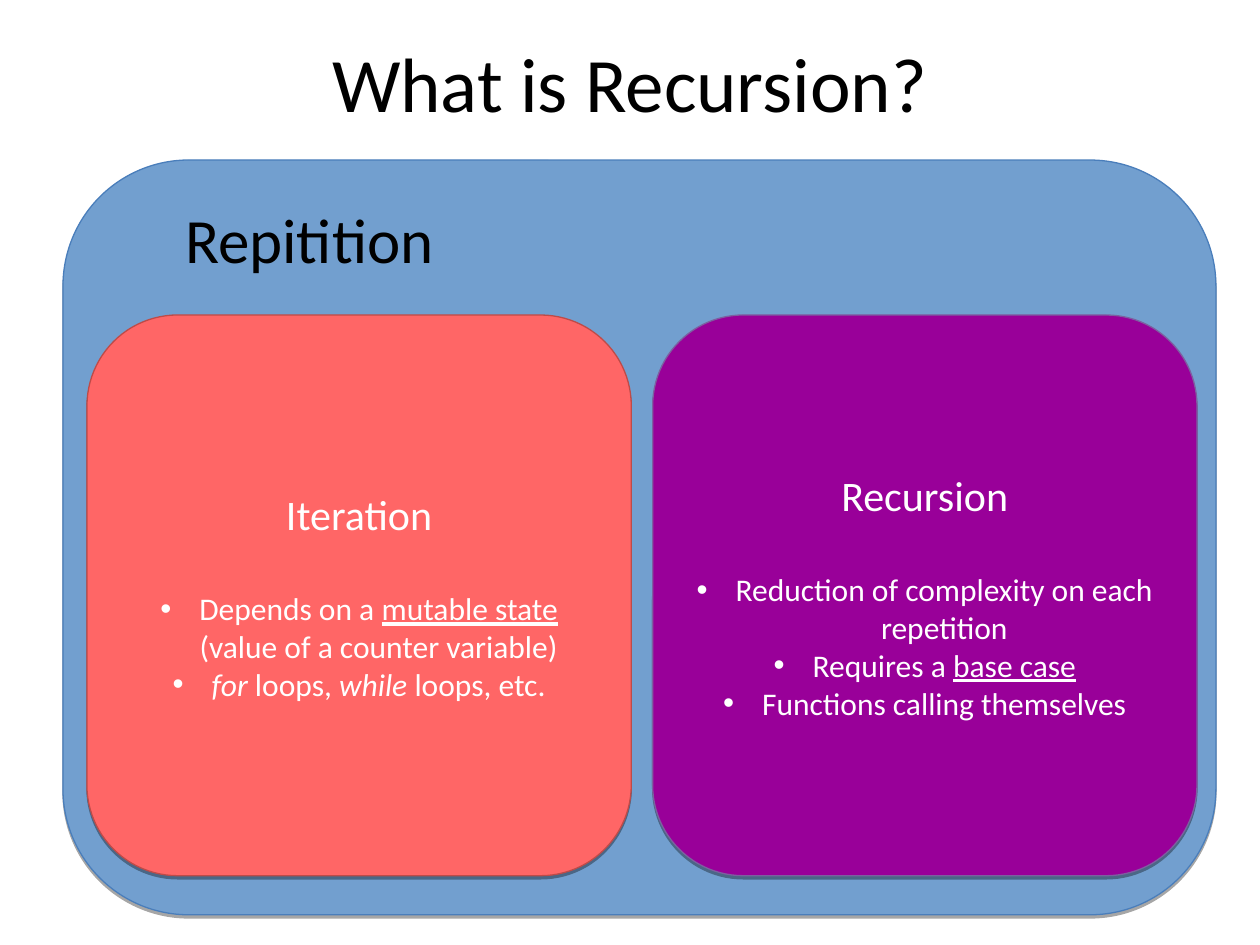
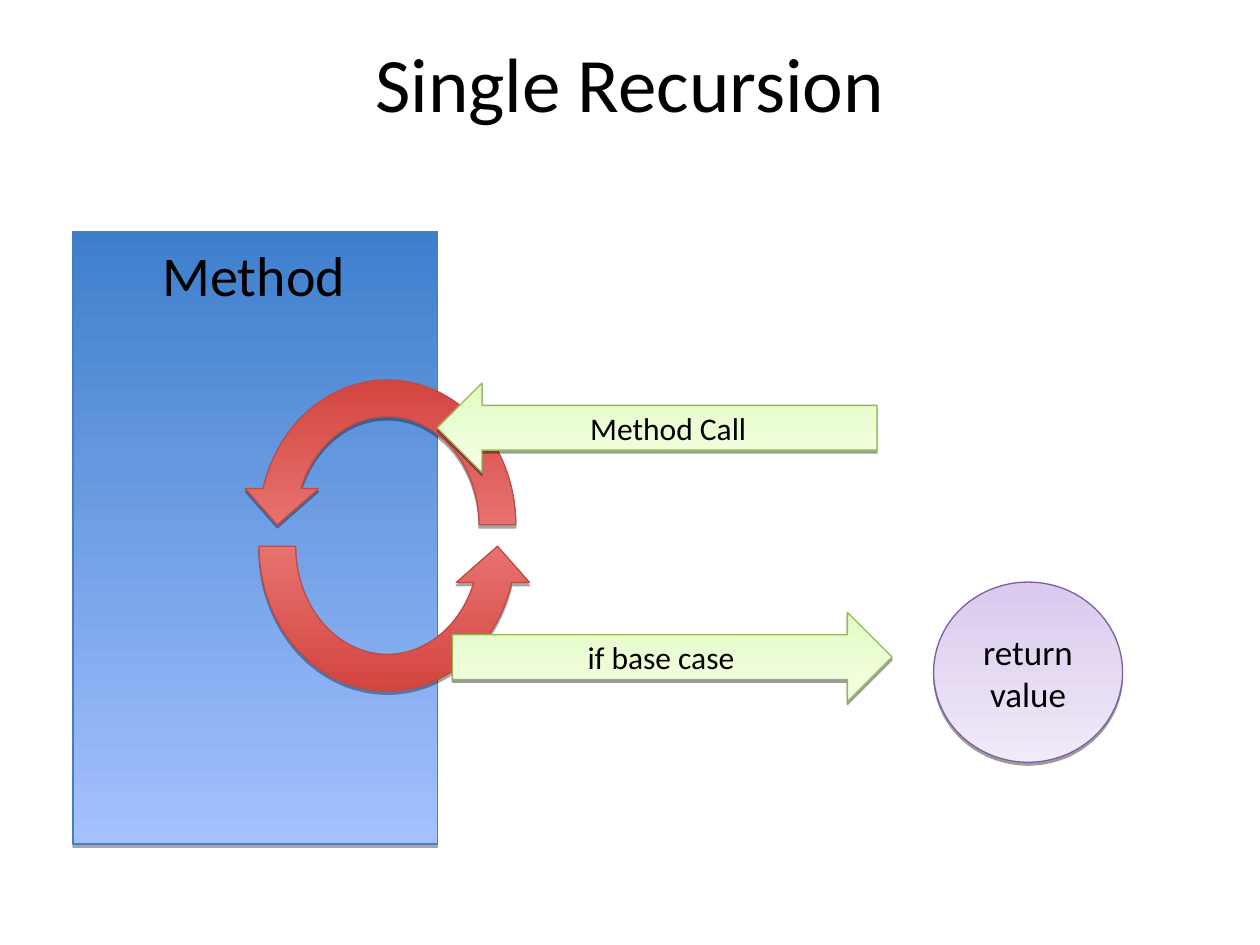
from dataclasses import dataclass
from typing import Any

from lxml import etree
from pptx import Presentation
from pptx.dml.color import RGBColor
from pptx.enum.shapes import MSO_SHAPE
from pptx.enum.text import MSO_ANCHOR, MSO_AUTO_SIZE, PP_ALIGN
from pptx.oxml.ns import qn
from pptx.util import Inches, Pt

ROUND = MSO_SHAPE.ROUNDED_RECTANGLE
RECT = MSO_SHAPE.RECTANGLE
OVAL = MSO_SHAPE.OVAL
LOOP = MSO_SHAPE.CIRCULAR_ARROW
LEFT = MSO_SHAPE.LEFT_ARROW
RIGHT = MSO_SHAPE.RIGHT_ARROW
MIDDLE = MSO_ANCHOR.MIDDLE
CENTER = PP_ALIGN.CENTER
START = PP_ALIGN.LEFT
GROW = MSO_AUTO_SIZE.SHAPE_TO_FIT_TEXT

BLACK = RGBColor(0x00, 0x00, 0x00)
WHITE = RGBColor(0xFF, 0xFF, 0xFF)
SKY = RGBColor(0x72, 0x9F, 0xCF)
CORAL = RGBColor(0xFF, 0x66, 0x66)
PLUM = RGBColor(0x99, 0x00, 0x99)
NAVY = RGBColor(0x4A, 0x7E, 0xBB)
BRICK = RGBColor(0xBE, 0x4B, 0x48)
MAUVE = RGBColor(0x7D, 0x5F, 0xA0)
OLIVE = RGBColor(0x98, 0xB8, 0x55)
BLUES = (RGBColor(0x3E, 0x7F, 0xCC), RGBColor(0xA4, 0xC1, 0xFF))
REDS = (RGBColor(0xD0, 0x3F, 0x3B), RGBColor(0xFF, 0xA7, 0xA4))
GREENS = (RGBColor(0xE3, 0xFB, 0xC2), RGBColor(0xF4, 0xFF, 0xE6))
LILACS = (RGBColor(0xD9, 0xCA, 0xEE), RGBColor(0xF1, 0xEA, 0xF8))

FACE = "Calibri"
UNDER = {"underline": True}
SLANT = {"italic": True}
DEEP = (35, 1.8)
SOFT = (38, 1.6)
TURN = (0.125, 11.42319, 204.57681, 108, 0.125)

Box = tuple[float, float, float, float]
Run = tuple[str, dict[str, Any]]


@dataclass
class Para:
    runs: list[Run]
    size: float
    color: RGBColor = BLACK
    align: Any = CENTER
    bullet: bool = False
    before: float = 0


@dataclass
class Form:
    kind: Any
    box: Box
    fill: Any
    line: RGBColor
    shade: tuple[float, float] = DEEP
    paras: tuple[Para, ...] = ()
    adjust: tuple[float, ...] = ()
    flip: bool = False
    turn: float = 0


@dataclass
class Label:
    text: str
    box: Box
    size: float
    wrap: bool


def apply(target: Any, values: dict[str, Any]) -> None:
    for name, value in values.items():
        setattr(target, name, value)


def place(shape: Any, box: Box) -> None:
    names = ("left", "top", "width", "height")
    apply(shape, dict(zip(names, map(Inches, box))))


def add_bullet(para: Any, color: RGBColor) -> None:
    props = para._p.get_or_add_pPr()
    props.set("marL", str(Inches(0.31)))
    props.set("indent", str(Inches(-0.31)))
    tint = etree.SubElement(props, qn("a:buClr"))
    etree.SubElement(tint, qn("a:srgbClr"), val=str(color))
    etree.SubElement(props, qn("a:buFont"), typeface="Arial")
    etree.SubElement(props, qn("a:buChar"), char="•")


def write(frame: Any, paras: tuple[Para, ...]) -> None:
    for num, item in enumerate(paras):
        para = frame.add_paragraph() if num else frame.paragraphs[0]
        para.alignment = item.align
        if item.before:
            para.space_before = Pt(item.before)
        if item.bullet:
            add_bullet(para, item.color)
        for text, style in item.runs:
            run = para.add_run()
            run.text = text
            apply(run.font, {"name": FACE, "size": Pt(item.size), **style})
            run.font.color.rgb = item.color


def paint(fill: Any, color: Any) -> None:
    if isinstance(color, RGBColor):
        fill.solid()
        fill.fore_color.rgb = color
        return
    fill.gradient()
    fill.gradient_angle = 270
    for stop, pos, tint in zip(fill.gradient_stops, (0, 1), color):
        stop.position = pos
        stop.color.rgb = tint


def cast(shape: Any, alpha: float, dist: float) -> None:
    shape.shadow.inherit = False
    group = shape._element.spPr.find(qn("a:effectLst"))
    drop = etree.SubElement(
        group, qn("a:outerShdw"), blurRad="0", dist=str(Pt(dist)),
        dir="5400000", algn="ctr", rotWithShape="0")
    tint = etree.SubElement(drop, qn("a:srgbClr"), val=str(BLACK))
    etree.SubElement(tint, qn("a:alpha"), val=str(alpha * 1000))


def draw(slide: Any, form: Form) -> None:
    shape = slide.shapes.add_shape(form.kind, *map(Inches, form.box))
    for num, value in enumerate(form.adjust):
        shape.adjustments[num] = value
    paint(shape.fill, form.fill)
    shape.line.color.rgb = form.line
    shape.line.width = Pt(0.75)
    cast(shape, *form.shade)
    shape.rotation = form.turn
    if form.flip:
        shape._element.spPr.find(qn("a:xfrm")).set("flipH", "1")
    apply(shape.text_frame, {"word_wrap": True, "vertical_anchor": MIDDLE})
    write(shape.text_frame, form.paras)


def add_label(slide: Any, label: Label) -> None:
    frame = slide.shapes.add_textbox(*map(Inches, label.box)).text_frame
    apply(frame, {"word_wrap": label.wrap, "auto_size": GROW})
    write(frame, (Para([(label.text, {})], label.size, align=START),))


def add_page(deck: Any, title: str) -> Any:
    slide = deck.slides.add_slide(deck.slide_layouts[5])
    head = slide.shapes.title
    place(head, (0.5, 0.02, 9, 1.25))
    head.text_frame.vertical_anchor = MIDDLE
    write(head.text_frame, (Para([(title, {})], 44),))
    return slide


def add_card(slide: Any, left: float, fill: RGBColor, line: RGBColor,
             name: str, points: list[list[Run]]) -> None:
    paras = [Para([(name, {})], 24, WHITE)]
    for num, runs in enumerate(points):
        gap = 0 if num else 29
        paras.append(Para(runs, 18, WHITE, bullet=True, before=gap))
    draw(slide, Form(ROUND, (left, 2.5, 4.32, 4.45), fill, line,
                     paras=tuple(paras)))


def add_intro(deck: Any) -> None:
    slide = add_page(deck, "What is Recursion?")
    draw(slide, Form(ROUND, (0.5, 1.27, 9.15, 5.99), SKY, NAVY))
    add_card(slide, 0.69, CORAL, BRICK, "Iteration", [
        [("Depends on a ", {}), ("mutable state", UNDER),
         (" (value of a counter variable)", {})],
        [("for", SLANT), (" loops, ", {}), ("while ", SLANT),
         ("loops, etc.", {})],
    ])
    add_card(slide, 5.18, PLUM, MAUVE, "Recursion", [
        [("Reduction of complexity on each repetition", {})],
        [("Requires a ", {}), ("base case", UNDER)],
        [("Functions calling themselves", {})],
    ])
    add_label(slide, Label("Repitition", (1.37, 1.54, 5.91, 0.7), 36, True))


def add_single(deck: Any) -> None:
    slide = add_page(deck, "Single Recursion")
    draw(slide, Form(RECT, (0.58, 1.84, 2.89, 4.86), BLUES, NAVY))
    add_label(slide, Label("Method", (1.19, 1.86, 1.65, 0.63), 32, False))
    for top, turn in ((2.87, 0), (3.04, 180)):
        draw(slide, Form(LOOP, (1.91, top, 2.33, 2.59), REDS, BRICK,
                         adjust=TURN, flip=True, turn=turn))
    arrows = ((LEFT, 3.47, 3.04, "Method Call"),
              (RIGHT, 3.59, 4.86, "if base case"))
    for kind, left, top, text in arrows:
        draw(slide, Form(kind, (left, top, 3.49, 0.71), GREENS, OLIVE, SOFT,
                         (Para([(text, {})], 18),)))
    words = tuple(Para([(word, {})], 20) for word in ("return", "value"))
    draw(slide, Form(OVAL, (7.41, 4.62, 1.5, 1.43), LILACS, MAUVE, SOFT,
                     words))


def main() -> None:
    deck = Presentation()
    apply(deck, {"slide_width": Inches(10), "slide_height": Inches(7.5)})
    add_intro(deck)
    add_single(deck)
    deck.save("out.pptx")


if __name__ == "__main__":
    main()
